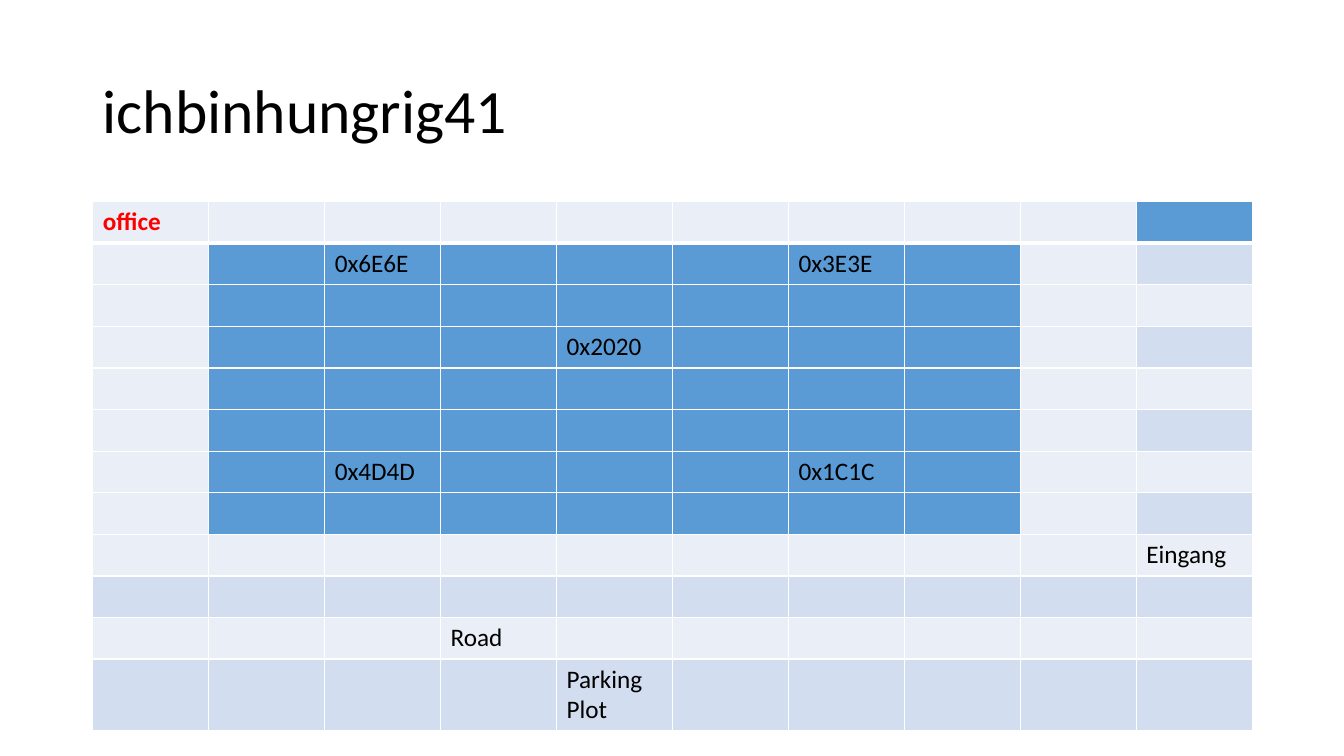
from dataclasses import dataclass

from lxml import etree
from pptx import Presentation
from pptx.dml.color import RGBColor
from pptx.enum.text import MSO_ANCHOR
from pptx.oxml.ns import qn
from pptx.shapes.autoshape import Shape
from pptx.slide import Slide
from pptx.table import _Cell
from pptx.text.text import TextFrame
from pptx.util import Inches, Pt

MIDDLE = MSO_ANCHOR.MIDDLE


@dataclass(frozen=True)
class Theme:
    """Colours, type sizes and line widths of the slide."""

    font: str = "Calibri"
    ink: str = "000000"
    alert: str = "FF0000"
    grid: str = "FFFFFF"
    building: str = "5B9BD5"
    light: str = "EAEFF7"
    band: str = "D2DEEF"
    title_size: int = 44
    label_size: int = 18
    grid_width: int = 1
    header_width: int = 3


@dataclass(frozen=True)
class PlanLabel:
    """A label at one square of the site plan."""

    row: int
    column: int
    text: str
    color: str
    bold: bool = False


THEME = Theme()
ROWS, COLUMNS = 12, 10
LEFT, WIDTH = Inches(0.92), Inches(11.5)
PLAN_TOP, PLAN_HEIGHT = Inches(2), Inches(5.25)
PARKING_HEIGHT = Inches(0.71)
OFFICE_ROWS = range(1, 8)
OFFICE_COLUMNS = range(1, 8)
PATH_COLUMNS = (0, 8)
CORNER = (0, COLUMNS - 1)

LABELS = (
    PlanLabel(0, 0, "office", THEME.alert, bold=True),
    PlanLabel(1, 2, "0x6E6E", THEME.ink),
    PlanLabel(1, 6, "0x3E3E", THEME.ink),
    PlanLabel(3, 4, "0x2020", THEME.ink),
    PlanLabel(6, 2, "0x4D4D", THEME.ink),
    PlanLabel(6, 6, "0x1C1C", THEME.ink),
    PlanLabel(8, 9, "Eingang", THEME.ink),
    PlanLabel(10, 3, "Road", THEME.ink),
    PlanLabel(11, 4, "Parking Plot", THEME.ink),
)


def write_text(frame: TextFrame, text: str, *, size: int, color: str = THEME.ink,
               bold: bool = False, line_spacing: float = 1.0) -> None:
    """Write one formatted paragraph into a text frame."""
    paragraph = frame.paragraphs[0]
    paragraph.line_spacing = line_spacing
    run = paragraph.add_run()
    run.text = text
    run.font.name = THEME.font
    run.font.size = Pt(size)
    run.font.bold = bold
    run.font.color.rgb = RGBColor.from_string(color)


def add_title(slide: Slide, text: str) -> Shape:
    """Add the slide title, centred vertically in its box."""
    title = slide.shapes.add_textbox(LEFT, Inches(0.4), WIDTH, Inches(1.45))
    title.text_frame.word_wrap = True
    title.text_frame.vertical_anchor = MIDDLE
    write_text(title.text_frame, text, size=THEME.title_size, line_spacing=0.9)
    return title


def square_color(row: int, column: int) -> str:
    """Return the fill of a square from its zone on the plan."""
    in_office_rows = row in OFFICE_ROWS
    if (row, column) == CORNER or (in_office_rows and column in OFFICE_COLUMNS):
        return THEME.building
    if row % 2 == 0 or (in_office_rows and column in PATH_COLUMNS):
        return THEME.light
    return THEME.band


def set_borders(cell: _Cell, row: int) -> None:
    """Draw the grid lines of a cell, heavier below the first row."""
    properties = cell._tc.get_or_add_tcPr()
    heavy_side = {0: "lnB", 1: "lnT"}.get(row)
    for side in ("lnL", "lnR", "lnT", "lnB"):
        width = THEME.header_width if side == heavy_side else THEME.grid_width
        line = etree.SubElement(properties, qn(f"a:{side}"), w=str(Pt(width)))
        fill = etree.SubElement(line, qn("a:solidFill"))
        etree.SubElement(fill, qn("a:srgbClr"), val=THEME.grid)


def add_plan(slide: Slide) -> None:
    """Add the site plan as a table with coloured zones and labels."""
    plan = slide.shapes.add_table(
        ROWS, COLUMNS, LEFT, PLAN_TOP, WIDTH, PLAN_HEIGHT).table
    plan.first_row = False
    plan.horz_banding = False
    row_height = (PLAN_HEIGHT - PARKING_HEIGHT) // (ROWS - 1)
    for row in range(ROWS):
        plan.rows[row].height = PARKING_HEIGHT if row == ROWS - 1 else row_height
        for column in range(COLUMNS):
            cell = plan.cell(row, column)
            set_borders(cell, row)
            cell.fill.solid()
            cell.fill.fore_color.rgb = RGBColor.from_string(square_color(row, column))
    for label in LABELS:
        write_text(plan.cell(label.row, label.column).text_frame, label.text,
                   size=THEME.label_size, color=label.color, bold=label.bold)


def main() -> None:
    """Build and save the slide."""
    presentation = Presentation()
    presentation.slide_width = Inches(13.33)
    presentation.slide_height = Inches(7.5)
    slide = presentation.slides.add_slide(presentation.slide_layouts[6])
    add_title(slide, "ichbinhungrig41")
    add_plan(slide)
    presentation.save("out.pptx")


main()
